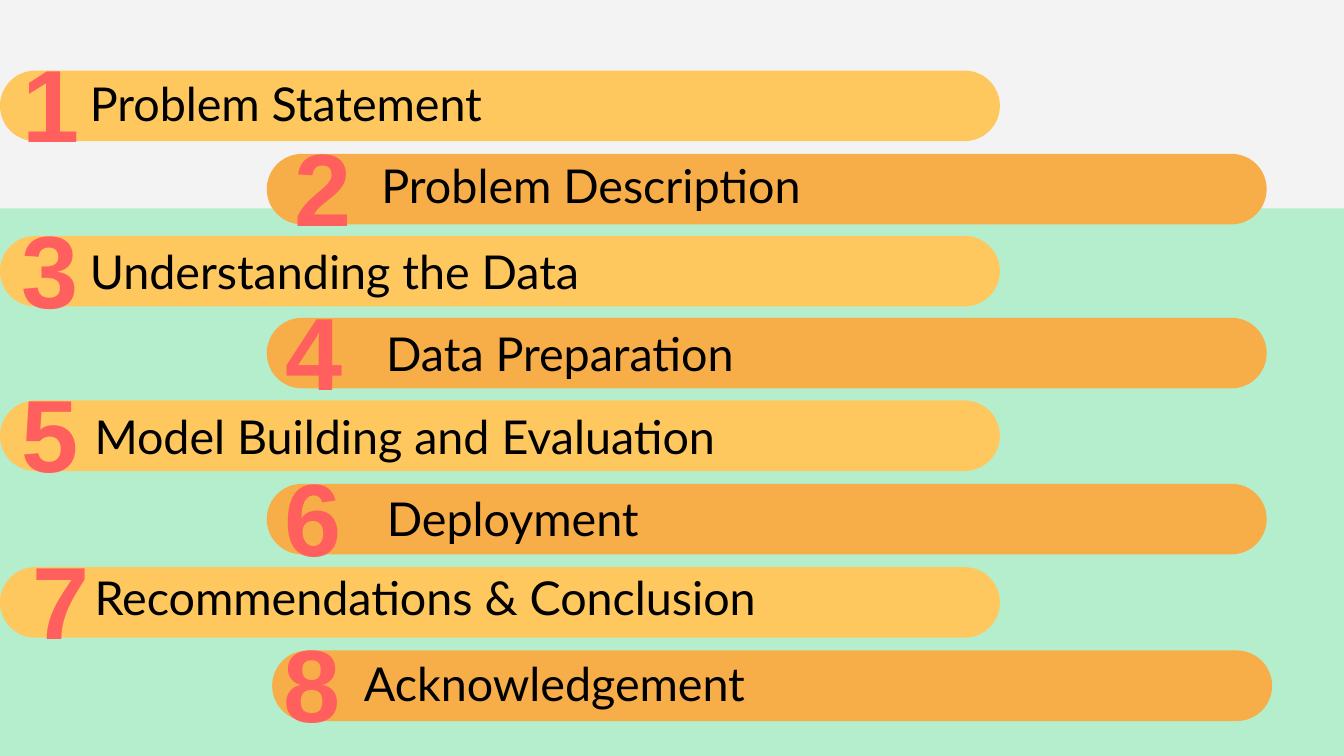
from pptx import Presentation
from pptx import util as u
from pptx.dml.color import RGBColor
from pptx.enum import shapes, text

PX = 4572  # EMU per px, 200 px to the inch
WIDE, HIGH = 2000, 1125
BAR_W, BAR_H = 1488, 105
HUES = {
    "page": "F3F3F3",
    "mint": "B5EECC",
    "yellow": "FFC85F",
    "orange": "F7AD48",
    "coral": "FF5F5D",
    "black": "000000",
}
# title, bar left, bar top, number left, label left, label top, label width
ITEMS = [
    ("Problem Statement", 0, 105, 14, 114, 92, 772),
    ("Problem Description", 397, 229, 418, 548, 214, 772),
    ("Understanding the Data", 0, 351, 12, 114, 342, 772),
    ("Data Preparation", 397, 473, 405, 555, 464, 772),
    ("Model Building and Evaluation", 0, 596, 12, 121, 587, 1356),
    ("Deployment", 397, 720, 403, 556, 709, 1356),
    ("Recommendations & Conclusion", 0, 844, 28, 121, 827, 1356),
    ("Acknowledgement", 405, 968, 402, 522, 955, 1356),
]


def scale(*sizes):
    return [u.Emu(size * PX) for size in sizes]


def hue(name):
    return RGBColor.from_string(HUES[name])


def add_block(slide, kind, box, fill):
    block = slide.shapes.add_shape(kind, *scale(*box))
    block.shadow.inherit = False
    block.fill.solid()
    block.fill.fore_color.rgb = hue(fill)
    block.line.fill.background()
    return block


def add_bar(slide, left, top, fill):
    kind = shapes.MSO_SHAPE.ROUNDED_RECTANGLE
    bar = add_block(slide, kind, (left, top, BAR_W, BAR_H), fill)
    bar.adjustments[0] = 0.5


def add_words(slide, words, box, size, face, color, bold=False):
    frame = slide.shapes.add_textbox(*scale(*box)).text_frame
    frame.word_wrap = True
    frame.auto_size = text.MSO_AUTO_SIZE.SHAPE_TO_FIT_TEXT
    pad, = scale(20)
    frame.margin_left = frame.margin_right = pad
    frame.margin_top = frame.margin_bottom = pad
    run = frame.paragraphs[0].add_run()
    run.text = words
    run.font.size = u.Pt(size)
    run.font.name = face
    run.font.bold = bold
    run.font.color.rgb = hue(color)


def main():
    deck = Presentation()
    deck.slide_width, deck.slide_height = scale(WIDE, HIGH)
    slide = deck.slides.add_slide(deck.slide_layouts[6])
    slide.background.fill.solid()
    slide.background.fill.fore_color.rgb = hue("page")

    band = (-6, 310, WIDE + 10, HIGH - 310)
    add_block(slide, shapes.MSO_SHAPE.RECTANGLE, band, "mint")
    for i, (_, left, top, *_) in enumerate(ITEMS):
        add_bar(slide, left, top, "orange" if i % 2 else "yellow")
    for i, (_, _, top, left, *_) in enumerate(ITEMS, 1):
        box = (left, top - 65, 244, 226)
        add_words(slide, str(i), box, 55, "Arial", "coral", bold=True)
    for title, *_, left, top, width in ITEMS:
        add_words(slide, title, (left, top, width, 124), 25, "Lato", "black")

    deck.save("out.pptx")


if __name__ == "__main__":
    main()
